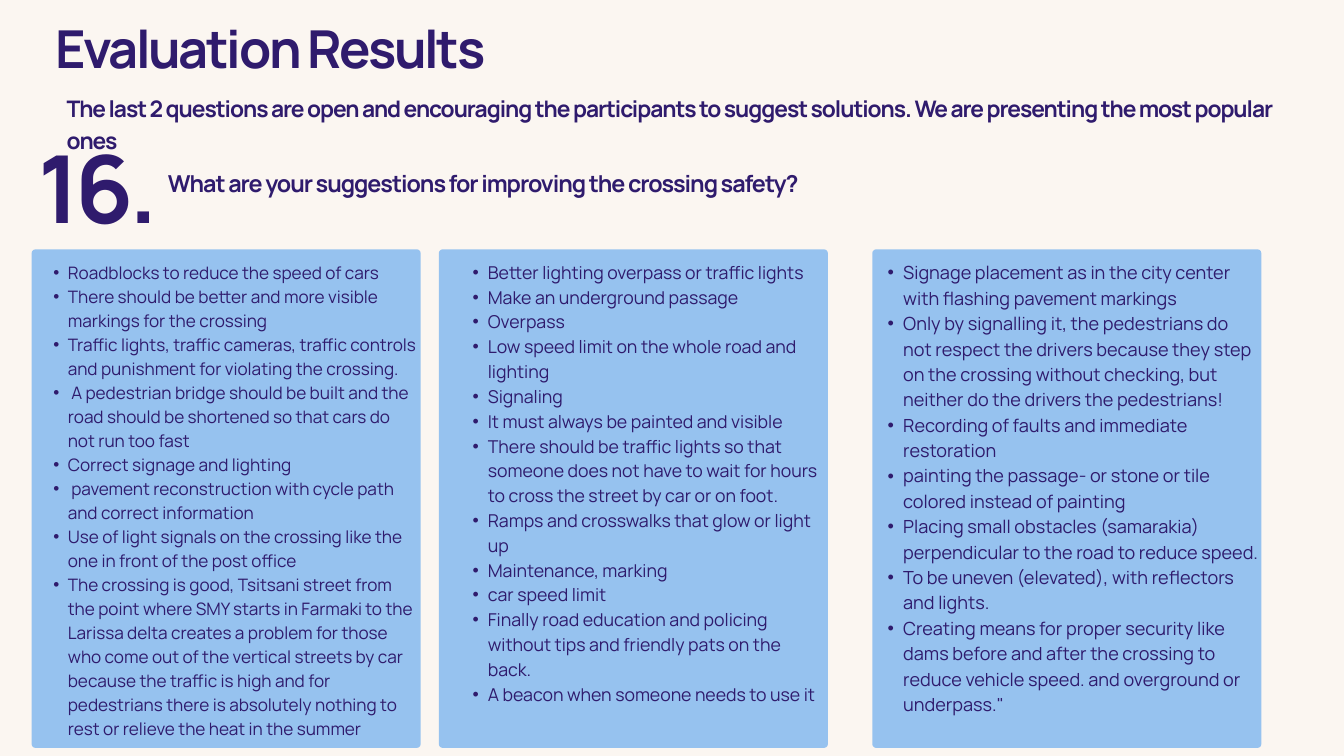
from dataclasses import dataclass

from lxml.etree import SubElement
from pptx import Presentation
from pptx.dml.color import RGBColor
from pptx.enum.shapes import MSO_SHAPE as Shape
from pptx.enum.text import MSO_ANCHOR as Anchor, MSO_AUTO_SIZE as AutoSize, PP_ALIGN as Align
from pptx.oxml.ns import qn
from pptx.util import Inches, Pt


@dataclass(frozen=True)
class Theme:
    font: str = "Manrope"
    paper: RGBColor = RGBColor(0xFB, 0xF6, 0xF1)
    card: RGBColor = RGBColor(0x96, 0xC2, 0xEF)
    ink: RGBColor = RGBColor(0x2F, 0x1B, 0x6D)
    title: float = 56
    intro: float = 24.4
    question: float = 25
    number: float = 100.4
    lists: tuple = (18.4, 19, 19.4)


theme = Theme()


def write(shape, text, *, at, size, leading, bold=False, tracking=0, align=Align.LEFT, indent=0):
    shape.left, shape.top, shape.width, shape.height = [Inches(length) for length in at]
    frame = shape.text_frame
    frame.word_wrap = True
    frame.auto_size = AutoSize.NONE
    frame.vertical_anchor = Anchor.TOP
    frame.margin_left = frame.margin_top = frame.margin_right = frame.margin_bottom = 0
    for index, line in enumerate(text.split("\n")):
        para = frame.add_paragraph() if index else frame.paragraphs[0]
        if indent:
            properties = para._p.get_or_add_pPr()
            properties.set("marL", str(Inches(indent)))
            properties.set("indent", str(-Inches(indent / 2)))
            SubElement(properties, qn("a:buFont"), typeface="Arial")
            SubElement(properties, qn("a:buChar"), char="•")
        para.alignment = align
        para.line_spacing = Pt(leading)
        span = para.add_run()
        span.text = line
        span.font.name = theme.font
        span.font.size = Pt(size)
        span.font.bold = bold
        span.font.color.rgb = theme.ink
        if tracking:
            span._r.get_or_add_rPr().set("spc", str(round(tracking * 100)))


deck = Presentation()
deck.slide_width, deck.slide_height = Inches(20), Inches(11.25)
page = deck.slides.add_slide(deck.slide_layouts[5])
page.background.fill.solid()
page.background.fill.fore_color.rgb = theme.paper

write(page.shapes.title, "Evaluation Results", at=(-0.2, 0.48, 8.45, 1.46), size=theme.title,
      leading=50.4, bold=True, tracking=-2.6, align=Align.CENTER)

suggestions = [
    [
        "Roadblocks to reduce the speed of cars",
        "There should be better and more visible markings for the crossing",
        "Traffic lights, traffic cameras, traffic controls and punishment for violating the crossing.",
        " A pedestrian bridge should be built and the road should be shortened so that cars do not run too fast",
        "Correct signage and lighting",
        " pavement reconstruction with cycle path and correct information",
        "Use of light signals on the crossing like the one in front of the post office",
        "The crossing is good, Tsitsani street from the point where SMY starts in Farmaki to the "
        "Larissa delta creates a problem for those who come out of the vertical streets by car "
        "because the traffic is high and for pedestrians there is absolutely nothing to rest or "
        "relieve the heat in the summer",
    ],
    [
        "Better lighting overpass or traffic lights",
        "Make an underground passage",
        "Overpass",
        "Low speed limit on the whole road and lighting",
        "Signaling",
        "It must always be painted and visible",
        "There should be traffic lights so that someone does not have to wait for hours to cross "
        "the street by car or on foot.",
        "Ramps and crosswalks that glow or light up",
        "Maintenance, marking",
        "car speed limit",
        "Finally road education and policing without tips and friendly pats on the back.",
        "A beacon when someone needs to use it",
    ],
    [
        "Signage placement as in the city center with flashing pavement markings",
        "Only by signalling it, the pedestrians do not respect the drivers because they step on "
        "the crossing without checking, but neither do the drivers the pedestrians!",
        "Recording of faults and immediate restoration",
        "painting the passage- or stone or tile colored instead of painting",
        "Placing small obstacles (samarakia) perpendicular to the road to reduce speed.",
        "To be uneven (elevated), with reflectors and lights.",
        "Creating means for proper security like dams before and after the crossing to reduce "
        "vehicle speed. and overground or underpass.\"",
    ],
]
card_lefts = (0.47, 6.53, 12.98)
list_places = ((0.58, 3.85, 5.68, 7), (6.81, 3.84, 5.38, 7.2), (12.98, 3.84, 5.79, 7.2))
leadings = (25.7, 26.6, 27.2)
indents = (0.43, 0.45, 0.46)

for left, place, items, size, leading, indent in zip(
        card_lefts, list_places, suggestions, theme.lists, leadings, indents):
    card = page.shapes.add_shape(Shape.ROUNDED_RECTANGLE, Inches(left), Inches(3.71),
                                 Inches(5.79), Inches(7.42))
    card.adjustments[0] = 0.01
    card.shadow.inherit = False
    card.fill.solid()
    card.fill.fore_color.rgb = theme.card
    card.line.fill.background()
    write(page.shapes.add_textbox(0, 0, 0, 0), "\n".join(items), at=place, size=size,
          leading=leading, indent=indent)

headings = [
    ("The last 2 questions are open and encouraging the participants to suggest solutions. "
     "We are presenting the most popular ones", (0.99, 1.34, 18.2, 0.47), theme.intro, 34.2, -1.1),
    ("What are your suggestions for improving the crossing safety?",
     (2.5, 2.45, 16.7, 0.48), theme.question, 35, -1.1),
    ("16.", (0.58, 2.35, 1.83, 1.37), theme.number, 90.4, -4.6),
]
for text, place, size, leading, tracking in headings:
    write(page.shapes.add_textbox(0, 0, 0, 0), text, at=place, size=size, leading=leading,
          bold=True, tracking=tracking)

deck.save("out.pptx")
